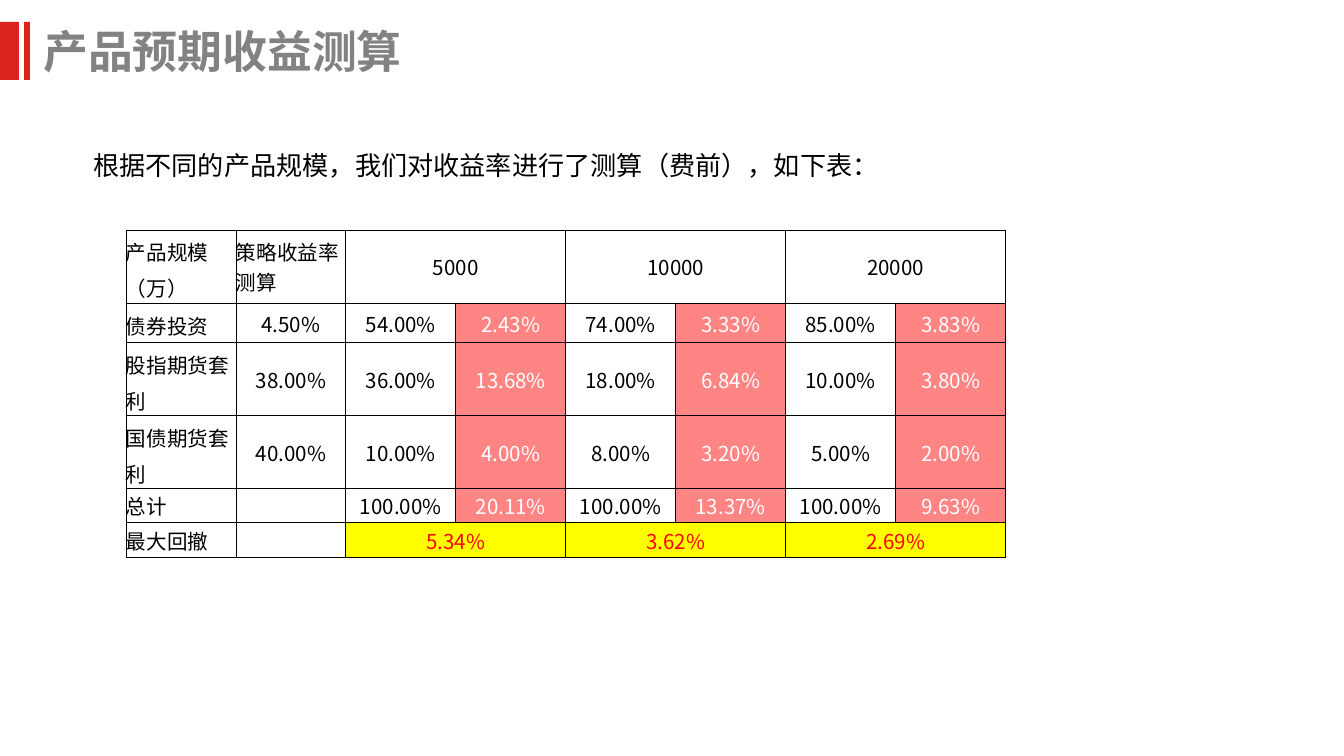
from dataclasses import dataclass

from lxml import etree
from pptx import Presentation
from pptx import util as u
from pptx.dml.color import RGBColor
from pptx.enum import shapes, text
from pptx.oxml import ns

PX = 914400 / 134.4  # EMU per px


@dataclass(frozen=True)
class Theme:
    red: str = "DA241D"
    gray: str = "838281"
    black: str = "000000"
    white: str = "FFFFFF"
    pink: str = "FF8585"
    yellow: str = "FFFF00"
    alert: str = "FF0000"
    title_size: int = 24
    body_size: int = 14
    table_size: int = 11
    title_font: str = "Arial"
    body_font: str = "DejaVu Sans"
    number_font: str = "Noto Sans CJK SC"


def px(n):
    return u.Emu(round(n * PX))


class SlideBuilder:
    def __init__(self, slide, theme):
        self.s = slide
        self.t = theme

    def style(self, p, font, size, color, bold=False):
        p.font.name = font
        p.font.size = u.Pt(size)
        p.font.bold = bold
        p.font.color.rgb = RGBColor.from_string(color)

    def bar(self, x, y, w, h):
        sp = self.s.shapes.add_shape(shapes.MSO_SHAPE.RECTANGLE, px(x), px(y), px(w), px(h))
        sp.shadow.inherit = False
        sp.fill.solid()
        sp.fill.fore_color.rgb = RGBColor.from_string(self.t.red)
        sp.line.fill.background()

    def text(self, x, y, w, h, words, **style):
        tf = self.s.shapes.add_textbox(px(x), px(y), px(w), px(h)).text_frame
        tf.word_wrap = True
        tf.vertical_anchor = text.MSO_ANCHOR.MIDDLE
        p = tf.paragraphs[0]
        p.text = words
        self.style(p, **style)

    def borders(self, cell):
        tc_pr = cell._tc.get_or_add_tcPr()
        for i, side in enumerate(("lnL", "lnR", "lnT", "lnB")):
            ln = etree.Element(ns.qn(f"a:{side}"), w=str(u.Pt(0.5)))
            fill = etree.SubElement(ln, ns.qn("a:solidFill"))
            etree.SubElement(fill, ns.qn("a:srgbClr"), val=self.t.black)
            tc_pr.insert(i, ln)

    def cell(self, cell, words, label=False, spacing=None, color=None, fill=None):
        cell.margin_left = cell.margin_right = cell.margin_top = cell.margin_bottom = 0
        cell.vertical_anchor = text.MSO_ANCHOR.MIDDLE
        if fill:
            cell.fill.solid()
            cell.fill.fore_color.rgb = RGBColor.from_string(fill)
        else:
            cell.fill.background()
        self.borders(cell)
        p = cell.text_frame.paragraphs[0]
        p.alignment = text.PP_ALIGN.LEFT if label else text.PP_ALIGN.CENTER
        if spacing:
            p.line_spacing = spacing
        if words:
            p.text = words
        else:  # keeps an empty cell from growing its row
            p._p.get_or_add_endParaRPr().set("sz", str(self.t.table_size * 100))
        font = self.t.title_font if label else self.t.number_font
        self.style(p, font, self.t.table_size, color or self.t.black)

    def table(self, x, y, col_w, row_hs, rows):
        n = len(rows[0])
        last = len(rows) - 1
        tbl = self.s.shapes.add_table(
            len(rows), n, px(x), px(y), px(col_w * n), px(sum(row_hs))).table
        tbl.first_row = tbl.horz_banding = False
        for col in tbl.columns:
            col.width = px(col_w)
        for r, (h, row) in enumerate(zip(row_hs, rows)):
            tbl.rows[r].height = px(h)
            for c, words in enumerate(row):
                look = {}
                if c == 0 or (r == 0 and c == 1):
                    look = dict(label=True, spacing=1.2 if c == 0 and r < 4 else None)
                elif r == last and c > 1:
                    look = dict(color=self.t.alert, fill=self.t.yellow)
                elif r > 0 and c > 1 and c % 2:
                    look = dict(color=self.t.white, fill=self.t.pink)
                self.cell(tbl.cell(r, c), words, **look)
        # Scale headings and drawdowns each span a pair of columns
        for r in (0, last):
            for c in range(2, n, 2):
                tbl.cell(r, c).merge(tbl.cell(r, c + 1))


def main():
    prs = Presentation()
    prs.slide_width, prs.slide_height = px(1344), px(756)
    t = Theme()
    b = SlideBuilder(prs.slides.add_slide(prs.slide_layouts[6]), t)

    # Introduction and title
    b.text(80, 142, 1172, 46, "根据不同的产品规模，我们对收益率进行了测算（费前），如下表：",
           font=t.body_font, size=t.body_size, color=t.black)
    b.text(30, 17, 411, 67, "产品预期收益测算",
           font=t.title_font, size=t.title_size, color=t.gray, bold=True)

    # Red bars beside the title
    for x, w in ((0, 19), (24, 6)):
        b.bar(x, 22, w, 58)

    # Returns by product scale: weight and contribution for each
    rows = [
        ["产品规模（万）", "策略收益率测算", "5000", "", "10000", "", "20000", ""],
        ["债券投资", "4.50%", "54.00%", "2.43%", "74.00%", "3.33%", "85.00%", "3.83%"],
        ["股指期货套利", "38.00%", "36.00%", "13.68%", "18.00%", "6.84%", "10.00%", "3.80%"],
        ["国债期货套利", "40.00%", "10.00%", "4.00%", "8.00%", "3.20%", "5.00%", "2.00%"],
        ["总计", "", "100.00%", "20.11%", "100.00%", "13.37%", "100.00%", "9.63%"],
        ["最大回撤", "", "5.34%", "", "3.62%", "", "2.69%", ""],
    ]
    b.table(126, 230, 110, [73, 40, 73, 73, 34, 35], rows)

    prs.save("out.pptx")


if __name__ == "__main__":
    main()
